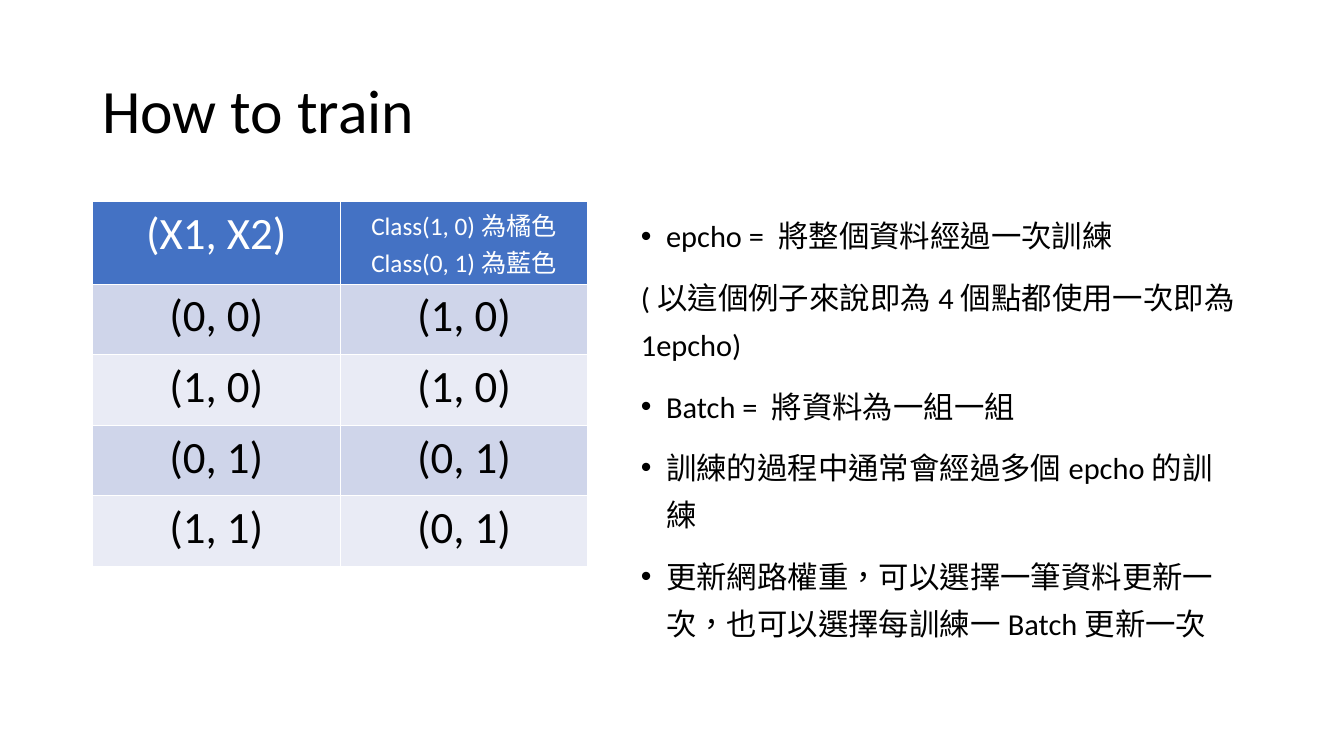
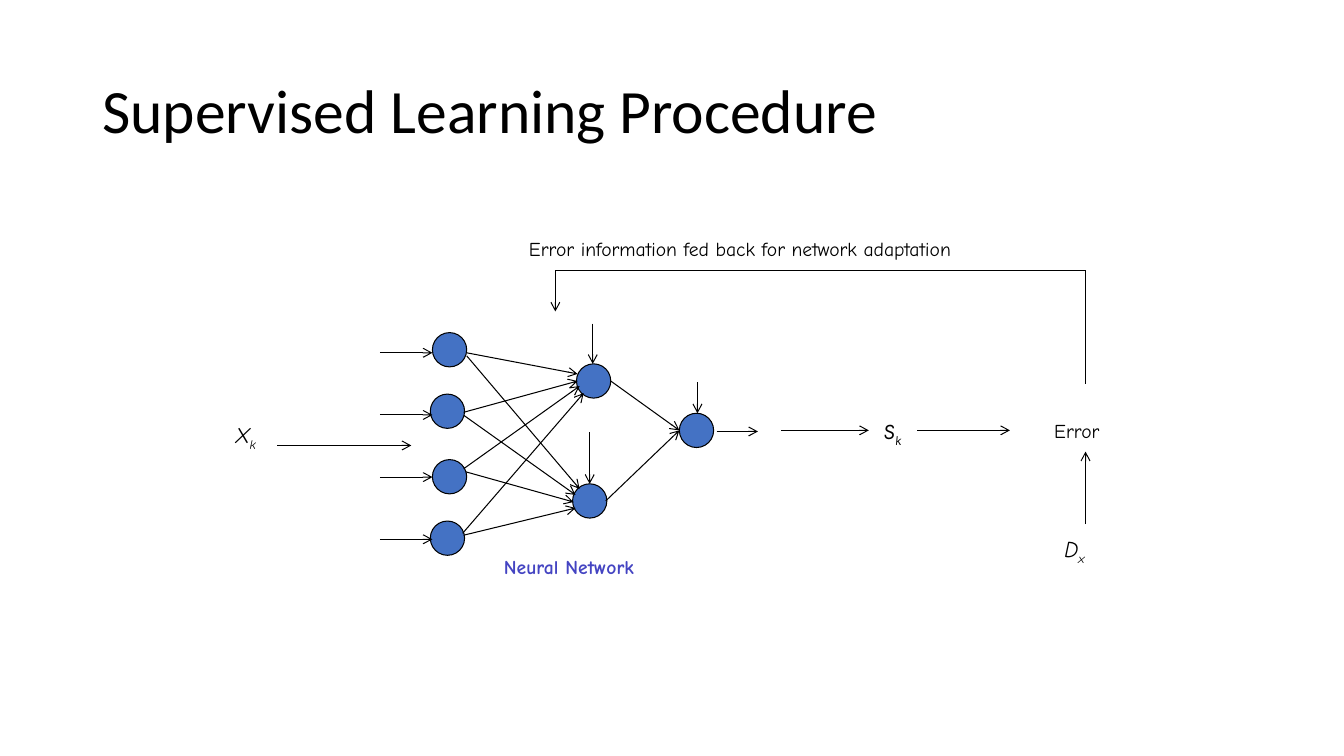
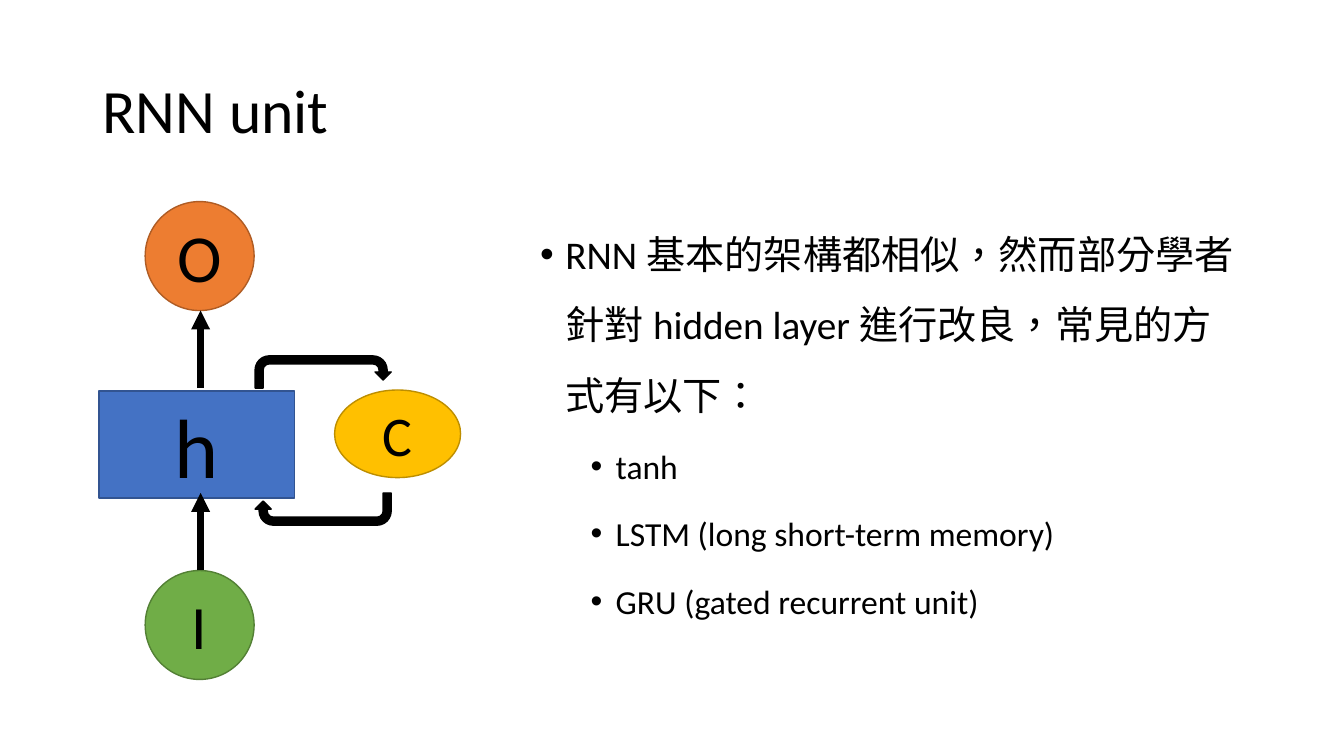
from lxml import etree
from pptx import Presentation
from pptx.dml.color import RGBColor
from pptx.enum.lang import MSO_LANGUAGE_ID
from pptx.enum.shapes import MSO_CONNECTOR, MSO_SHAPE
from pptx.enum.text import MSO_ANCHOR, MSO_AUTO_SIZE, PP_ALIGN
from pptx.oxml.ns import qn
from pptx.util import Pt

STRAIGHT = MSO_CONNECTOR.STRAIGHT
OVAL, RECT, UTURN = MSO_SHAPE.OVAL, MSO_SHAPE.RECTANGLE, MSO_SHAPE.U_TURN_ARROW
MIDDLE, CENTER = MSO_ANCHOR.MIDDLE, PP_ALIGN.CENTER
GROW = MSO_AUTO_SIZE.SHAPE_TO_FIT_TEXT
CHINESE = MSO_LANGUAGE_ID.TRADITIONAL_CHINESE

BLACK = RGBColor(0x00, 0x00, 0x00)
WHITE = RGBColor(0xFF, 0xFF, 0xFF)
BLUE = RGBColor(0x44, 0x72, 0xC4)
BLUE_EDGE = RGBColor(0x32, 0x54, 0x91)
BAND_DARK = RGBColor(0xCF, 0xD5, 0xEA)
BAND_LIGHT = RGBColor(0xE9, 0xEB, 0xF5)
VIOLET = RGBColor(0x44, 0x44, 0xC2)
ORANGE = RGBColor(0xED, 0x7D, 0x31)
ORANGE_EDGE = RGBColor(0xAF, 0x5C, 0x24)
GREEN = RGBColor(0x70, 0xAD, 0x47)
GREEN_EDGE = RGBColor(0x53, 0x80, 0x35)
GOLD = RGBColor(0xFF, 0xC0, 0x00)
GOLD_EDGE = RGBColor(0xBD, 0x8E, 0x00)

BODY_FONT, LABEL_FONT, OUTPUT_FONT = "Calibri", "Comic Neue", "Karla"


def write(tf, text, size, para=None, font=None, color=BLACK, bullet_at=None, sub=None):
    """Add one paragraph; bullet_at is its left indent, sub a trailing subscript."""
    p = tf.paragraphs[0] if not tf.text else tf.add_paragraph()
    for name, value in (para or {}).items():
        setattr(p, name, value)
    if bullet_at:
        pPr = p._p.get_or_add_pPr()
        pPr.set("marL", str(Pt(bullet_at)))
        pPr.set("indent", str(Pt(-18)))
        etree.SubElement(pPr, qn("a:buFont")).set("typeface", "Arial")
        etree.SubElement(pPr, qn("a:buChar")).set("char", "•")
    look = {"name": BODY_FONT, "size": Pt(size), "bold": False,
            "language_id": CHINESE, **(font or {})}
    for part in filter(None, (text, sub)):
        r = p.add_run()
        r.text = part
        r.font.color.rgb = color
        for name, value in look.items():
            setattr(r.font, name, value)
        if part is sub:
            r._r.get_or_add_rPr().set("baseline", "-25000")


def add_line(sl, x1, y1, x2, y2, head="arrow", width=0.75):
    ln = sl.shapes.add_connector(STRAIGHT, Pt(x1), Pt(y1), Pt(x2), Pt(y2))
    ln.line.color.rgb = BLACK
    ln.line.width = Pt(width)
    if head:
        etree.SubElement(ln.line._get_or_add_ln(), qn("a:tailEnd")).set("type", head)
    etree.SubElement(ln._element.spPr, qn("a:effectLst"))


prs = Presentation()
prs.slide_width, prs.slide_height = Pt(960), Pt(540)

# Slides with their shared title style
slides = []
for title in ("How to train", "Supervised Learning Procedure", "RNN unit"):
    sl = prs.slides.add_slide(prs.slide_layouts[6])
    tf = sl.shapes.add_textbox(Pt(66), Pt(28.8), Pt(828), Pt(104.4)).text_frame
    tf.word_wrap = True
    tf.vertical_anchor = MIDDLE
    write(tf, title, 44, {"line_spacing": 0.9})
    slides.append(sl)
train, procedure, rnn = slides

# Bullet text: left edge, line spacing, then (text, size, bullet indent, space before)
bodies = [
    (train, 450.7, 1.3, [
        ("epcho = 將整個資料經過一次訓練", 21.7, 18, 10),
        ("(以這個例子來說即為4個點都使用一次即為1epcho)", 21.7, None, 10),
        ("Batch = 將資料為一組一組", 21.7, 18, 10),
        ("訓練的過程中通常會經過多個epcho的訓練", 21.7, 18, 10),
        ("更新網路權重，可以選擇一筆資料更新一次，也可以選擇每訓練一Batch更新一次",
         21.7, 18, 10),
    ]),
    (rnn, 378.7, 1.5, [
        ("RNN基本的架構都相似，然而部分學者針對hidden layer進行改良，常見的方式有以下：",
         28, 18, 10),
        ("tanh", 24, 54, 5),
        ("LSTM (long short-term memory)", 24, 54, 5),
        ("GRU (gated recurrent unit)", 24, 54, 5),
    ]),
]
for sl, left, spacing, lines in bodies:
    tf = sl.shapes.add_textbox(Pt(left), Pt(144), Pt(894 - left), Pt(342.7)).text_frame
    tf.word_wrap = True
    for text, size, indent, before in lines:
        write(tf, text, size, {"line_spacing": spacing, "space_before": Pt(before)},
              bullet_at=indent)

# How to train: table of points and classes
HEADER_HEIGHT, ROW_HEIGHT = 59, 50.4
rows = [
    ("(X1, X2)", "Class(1, 0)為橘色\nClass(0, 1)為藍色"),
    ("(0, 0)", "(1, 0)"),
    ("(1, 0)", "(1, 0)"),
    ("(0, 1)", "(0, 1)"),
    ("(1, 1)", "(0, 1)"),
]
table_height = HEADER_HEIGHT + ROW_HEIGHT * (len(rows) - 1)
table = train.shapes.add_table(
    len(rows), 2, Pt(66), Pt(144), Pt(354), Pt(table_height)).table
for i, row in enumerate(rows):
    table.rows[i].height = Pt(ROW_HEIGHT if i else HEADER_HEIGHT)
    for j, text in enumerate(row):
        cell = table.cell(i, j)
        lines = text.split("\n")
        for line in lines:
            write(cell.text_frame, line, 18 if len(lines) > 1 else 32,
                  {"alignment": CENTER}, color=BLACK if i else WHITE)
        tcPr = cell._tc.get_or_add_tcPr()
        for side in ("lnL", "lnR", "lnT", "lnB"):
            border = etree.SubElement(tcPr, qn("a:" + side), w=str(Pt(1)))
            fill = etree.SubElement(border, qn("a:solidFill"))
            etree.SubElement(fill, qn("a:srgbClr")).set("val", str(WHITE))
        cell.fill.solid()
        cell.fill.fore_color.rgb = (BAND_LIGHT, BAND_DARK)[i % 2] if i else BLUE

# Supervised Learning Procedure: neurons
neurons = [
    (308.9, 237.6), (307.4, 281.5), (308.9, 328.3), (307.4, 372.2),
    (411.8, 259.9), (409, 345.6), (485.3, 295.2),
]
for x, y in neurons:
    sp = procedure.shapes.add_shape(OVAL, Pt(x), Pt(y), Pt(24.5), Pt(24.5))
    sp.shadow.inherit = False
    sp.fill.solid()
    sp.fill.fore_color.rgb = BLUE
    sp.line.color.rgb = BLACK
    sp.line.width = Pt(0.75)

# Supervised Learning Procedure: arrows
for i in range(4):
    y = 252 + 44.4 * i
    add_line(procedure, 271.4, y, 308.9, y)
arrows = [
    # inputs to hidden neurons
    (333.4, 252, 412.6, 267.1), (333.4, 254.2, 414, 349.2),
    (331.2, 294.5, 412.6, 272.2), (331.2, 296.6, 411.1, 353.5),
    (331.2, 334.8, 414, 275.8), (332.6, 337, 409.7, 358.6),
    (330.5, 380.9, 416.9, 280.8), (331.2, 382.3, 411.1, 362.9),
    # hidden neurons to output
    (432.7, 357.8, 485.3, 307.4), (436.3, 272.2, 485.3, 307.4),
    # biases
    (423.4, 231.1, 423.4, 259.9), (421.2, 308.9, 421.2, 345.6),
    (498.2, 272.9, 498.2, 295.2),
    # signal flow
    (198, 318.2, 293.8, 318.2), (511.9, 308.2, 541.4, 308.2),
    (558, 307.4, 620.6, 307.4), (655.2, 307.4, 721.4, 307.4),
    (775.4, 374.4, 775.4, 322.6), (396.7, 193, 396.7, 222.5),
]
for ends in arrows:
    add_line(procedure, *ends)
add_line(procedure, 396.7, 193, 775.4, 193, head=None)
add_line(procedure, 775.4, 193, 775.4, 274.3, head=None)

# Supervised Learning Procedure: labels
italic = {"name": LABEL_FONT, "italic": True}
plain = {"name": LABEL_FONT}
labels = [
    (370.8, 165.6, 347.8, "Error information fed back for network adaptation",
     None, 14, plain, BLACK),
    (745.9, 295.9, 51.1, "Error", None, 14, plain, BLACK),
    (352.8, 393.1, 123.8, "Neural Network", None, 14, {**plain, "bold": True}, VIOLET),
    (623.5, 294.5, 28.8, "S", "k", 16, {**italic, "name": OUTPUT_FONT}, BLACK),
    (753.1, 378.7, 32.4, "D", "x", 16, italic, BLACK),
    (161.3, 297.4, 32.4, "X", "k", 16, italic, BLACK),
]
for x, y, w, text, sub, size, font, color in labels:
    tf = procedure.shapes.add_textbox(Pt(x), Pt(y), Pt(w), Pt(size + 10)).text_frame
    tf.word_wrap = False
    tf.auto_size = GROW
    write(tf, text, size, font=font, color=color, sub=sub)

# RNN unit: nodes and the loop between h and C
units = [
    (OVAL, 103.7, 144, 77.8, 77.8, ORANGE, ORANGE_EDGE, "O", 48, 0),
    (RECT, 70.6, 279.4, 139.7, 76.3, BLUE, BLUE_EDGE, "h", 60, 0),
    (OVAL, 103.7, 407.5, 77.8, 77.8, GREEN, GREEN_EDGE, "I", 44, 0),
    (UTURN, 182.2, 254.2, 97.2, 23, BLACK, BLACK, None, 0, 0),
    (UTURN, 182.2, 352.1, 97.2, 23, BLACK, BLACK, None, 0, 180),
    (OVAL, 239, 278.6, 90, 62.6, GOLD, GOLD_EDGE, "C", 40, 0),
]
for kind, x, y, w, h, fill, edge, text, size, turn in units:
    sp = rnn.shapes.add_shape(kind, Pt(x), Pt(y), Pt(w), Pt(h))
    sp.shadow.inherit = False
    sp.rotation = turn
    sp.fill.solid()
    sp.fill.fore_color.rgb = fill
    sp.line.color.rgb = edge
    sp.line.width = Pt(1)
    if text:
        sp.text_frame.vertical_anchor = MIDDLE
        write(sp.text_frame, text, size, {"alignment": CENTER})
for start, end in ((407.5, 352.1), (277.2, 221.8)):
    add_line(rnn, 143.3, start, 143.3, end, head="triangle", width=4.5)

prs.save("out.pptx")
